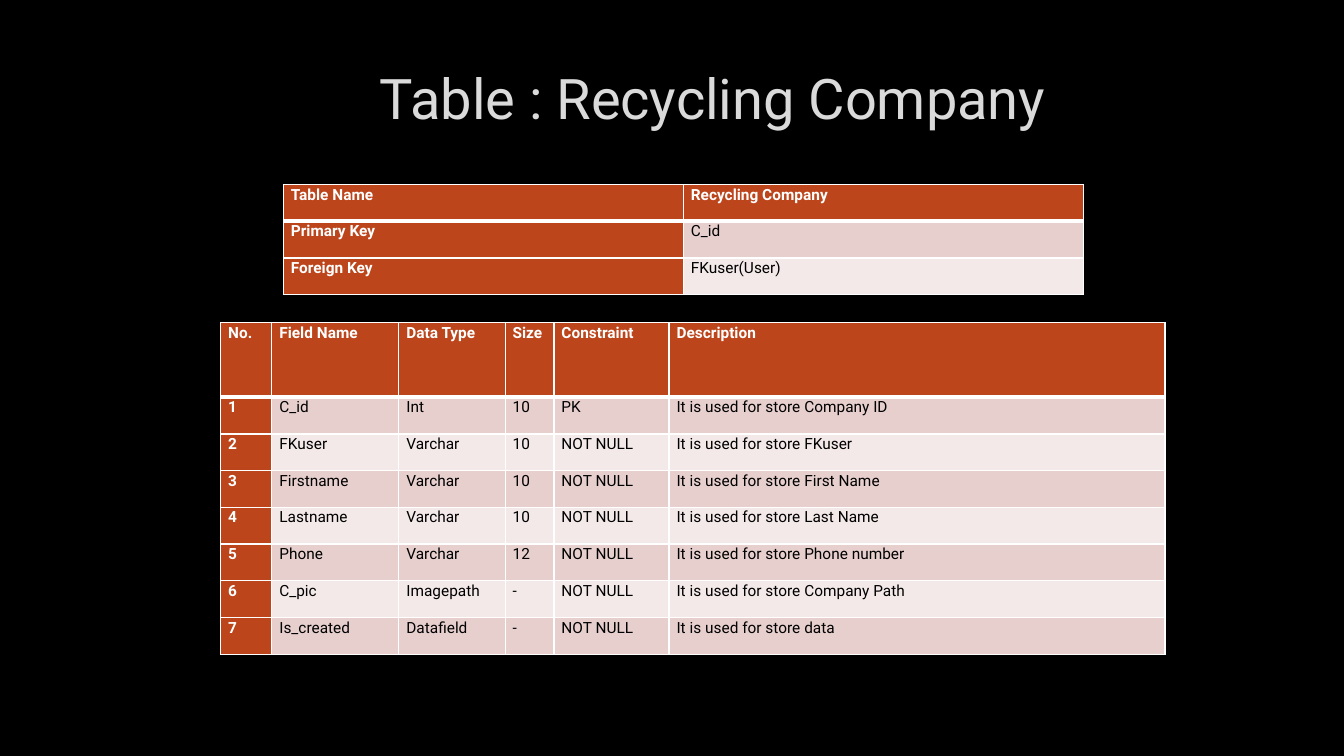
from dataclasses import dataclass

from lxml import etree
from pptx import Presentation
from pptx.dml.color import RGBColor
from pptx.enum.text import MSO_ANCHOR, PP_ALIGN
from pptx.oxml import parse_xml
from pptx.oxml.ns import nsdecls, qn
from pptx.slide import Slide
from pptx.table import _Cell
from pptx.text.text import _Paragraph
from pptx.util import Cm, Pt

MIDDLE = MSO_ANCHOR.MIDDLE
CENTER = PP_ALIGN.CENTER

BLACK = RGBColor(0x00, 0x00, 0x00)
WHITE = RGBColor(0xFF, 0xFF, 0xFF)
TITLE_GREY = RGBColor(0xDA, 0xDA, 0xDA)
OUTLINE_GREY = RGBColor(0x40, 0x40, 0x40)
RUST = RGBColor(0xBC, 0x45, 0x1B)
BANDS = (RGBColor(0xF3, 0xE9, 0xE8), RGBColor(0xE7, 0xCF, 0xCD))

FONT = "Roboto"
ROW_HEIGHT = 0.925


@dataclass(frozen=True)
class TableSpec:
    left: float
    top: float
    column_widths: tuple[float, ...]
    header_height: float
    rows: tuple[tuple[str, ...], ...]


KEYS_TABLE = TableSpec(
    left=7.14,
    top=4.65,
    column_widths=(10.08, 10.08),
    header_height=ROW_HEIGHT,
    rows=(
        ("Table Name", "Recycling Company"),
        ("Primary Key", "C_id"),
        ("Foreign Key", "FKuser(User)"),
    ),
)

FIELDS_TABLE = TableSpec(
    left=5.56,
    top=8.13,
    column_widths=(1.29, 3.2, 2.68, 1.23, 2.9, 12.5),
    header_height=1.88,
    rows=(
        ("No.", "Field Name", "Data Type", "Size", "Constraint", "Description"),
        ("1", "C_id", "Int", "10", "PK", "It is used for store Company ID"),
        ("2", "FKuser", "Varchar", "10", "NOT NULL", "It is used for store FKuser"),
        ("3", "Firstname", "Varchar", "10", "NOT NULL", "It is used for store First Name"),
        ("4", "Lastname", "Varchar", "10", "NOT NULL", "It is used for store Last Name"),
        ("5", "Phone", "Varchar", "12", "NOT NULL", "It is used for store Phone number"),
        ("6", "C_pic", "Imagepath", "-", "NOT NULL", "It is used for store Company Path"),
        ("7", "Is_created", "Datafield", "-", "NOT NULL", "It is used for store data"),
    ),
)


def add_run(paragraph: _Paragraph, text: str, size: float, color: RGBColor, bold: bool):
    run = paragraph.add_run()
    run.text = text
    run.font.name = FONT
    run.font.size = Pt(size)
    run.font.bold = bold
    run.font.color.rgb = color
    return run


def set_borders(cell: _Cell, top: float, bottom: float) -> None:
    """Draw white cell borders, 1 pt at the sides."""
    properties = cell._tc.get_or_add_tcPr()
    widths = {"lnL": 1, "lnR": 1, "lnT": top, "lnB": bottom}
    for position, (side, width) in enumerate(widths.items()):
        line = etree.Element(qn(f"a:{side}"), w=str(Pt(width)))
        fill = etree.SubElement(line, qn("a:solidFill"))
        etree.SubElement(fill, qn("a:srgbClr"), val=str(WHITE))
        properties.insert(position, line)


def fill_cell(cell: _Cell, text: str, row: int, column: int) -> None:
    is_heading = row == 0 or column == 0
    cell.margin_left = cell.margin_right = Cm(0.19)
    cell.margin_top = cell.margin_bottom = 0
    cell.fill.solid()
    cell.fill.fore_color.rgb = RUST if is_heading else BANDS[row % 2]
    set_borders(cell, top=3 if row == 1 else 1, bottom=3 if row == 0 else 1)

    paragraph = cell.text_frame.paragraphs[0]
    paragraph.line_spacing = 1.07
    paragraph.space_after = Pt(8)
    add_run(paragraph, text, 11, WHITE if is_heading else BLACK, is_heading)


def add_table(slide: Slide, spec: TableSpec) -> None:
    heights = [spec.header_height] + [ROW_HEIGHT] * (len(spec.rows) - 1)
    table = slide.shapes.add_table(
        len(heights), len(spec.column_widths),
        Cm(spec.left), Cm(spec.top), Cm(sum(spec.column_widths)), Cm(sum(heights)),
    ).table
    table.first_col = True
    for column, width in zip(table.columns, spec.column_widths):
        column.width = Cm(width)
    for row, height in zip(table.rows, heights):
        row.height = Cm(height)
    for row_index, texts in enumerate(spec.rows):
        for column_index, text in enumerate(texts):
            fill_cell(table.cell(row_index, column_index), text, row_index, column_index)


def set_title(slide: Slide, text: str) -> None:
    title = slide.shapes.title
    title.left, title.top, title.width, title.height = Cm(4.04), 0, Cm(27.84), Cm(4.88)
    title.text_frame.vertical_anchor = MIDDLE
    paragraph = title.text_frame.paragraphs[0]
    paragraph.alignment = CENTER
    run = add_run(paragraph, text, 40, TITLE_GREY, False)
    # Faint outline around the letters
    outline = parse_xml(
        f'<a:ln {nsdecls("a")} w="{Pt(0.75)}"><a:solidFill><a:srgbClr val="{OUTLINE_GREY}">'
        '<a:alpha val="10000"/></a:srgbClr></a:solidFill></a:ln>'
    )
    run.font._element.insert(0, outline)


def main() -> None:
    presentation = Presentation()
    presentation.slide_width = Cm(33.87)
    presentation.slide_height = Cm(19.05)
    slide = presentation.slides.add_slide(presentation.slide_layouts[5])

    # Background and title
    slide.background.fill.solid()
    slide.background.fill.fore_color.rgb = BLACK
    set_title(slide, "Table : Recycling Company")

    # Key summary above the field list
    for spec in (KEYS_TABLE, FIELDS_TABLE):
        add_table(slide, spec)

    presentation.save("out.pptx")


if __name__ == "__main__":
    main()
